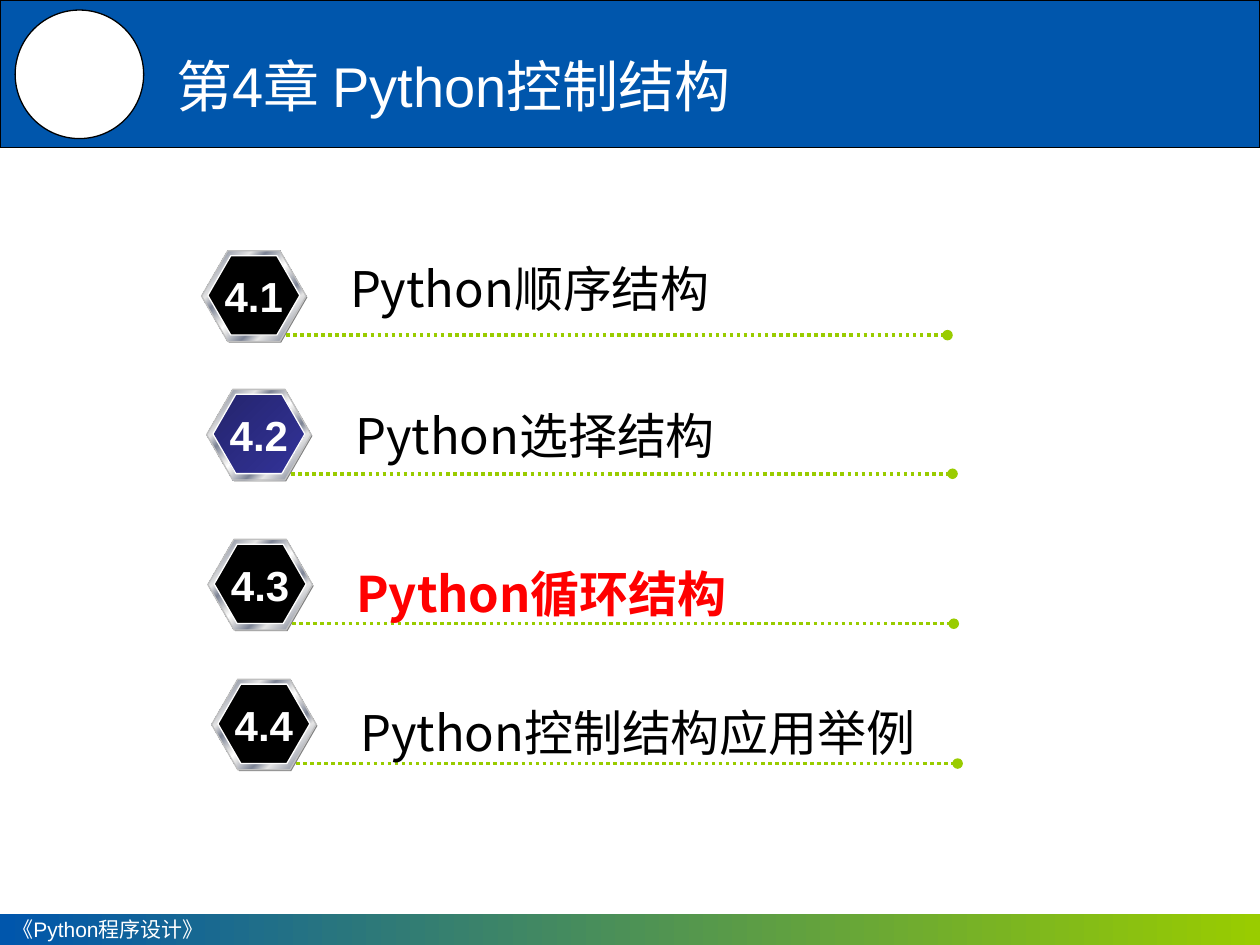
from dataclasses import dataclass

from lxml import etree
from pptx import Presentation
from pptx.dml.color import RGBColor
from pptx.enum import dml, shapes, text
from pptx.oxml.ns import qn
from pptx.util import Inches, Pt

BLUE, GREEN, WHITE, BLACK = "0056AC", "99CC00", "FFFFFF", "000000"
SANS, CJK = "Arial", "Noto Sans CJK SC"
METAL = [(0, "E6E6E6"), (8, "7D8496"), (26, "E6E6E6"), (34, "7D8496"),
         (46, "E6E6E6"), (50, "FFFFFF"), (54, "E6E6E6"), (66, "7D8496"),
         (74, "E6E6E6"), (92, "7D8496"), (100, "E6E6E6")]
NAVY = [(0, "24246D"), (100, "333399")]


@dataclass
class Section:
    number: str
    title: str
    x: float
    y: float
    title_dy: float
    face: str | list = BLACK
    color: str = BLACK
    bold: bool = False
    spacing: float = 1.0


SECTIONS = [
    Section("4.1", "Python顺序结构", 1.61, 2.0, 0),
    Section("4.2", "Python选择结构", 1.65, 3.1, 0.07, face=NAVY),
    Section("4.3", "Python循环结构", 1.66, 4.29, -0.1, color="FF0000", bold=True, spacing=1.5),
    Section("4.4", "Python控制结构应用举例", 1.69, 5.4, -0.11, spacing=1.5),
]


def rgb(value: str) -> RGBColor:
    return RGBColor.from_string(value)


def fill_gradient(sp, stops: list, angle: int) -> None:
    """Fill with (percent, colour) stops; the angle runs clockwise in degrees."""
    sp.fill.gradient()
    grad = sp._element.spPr.find(qn("a:gradFill"))
    gs_list = grad.find(qn("a:gsLst"))
    for old in list(gs_list):
        gs_list.remove(old)
    for percent, color in stops:
        gs = etree.SubElement(gs_list, qn("a:gs"), pos=str(percent * 1000))
        etree.SubElement(gs, qn("a:srgbClr"), val=color)
    grad.find(qn("a:lin")).set("ang", str(angle * 60000))


def add_shape(s, kind, x: float, y: float, w: float, h: float,
              fill: str | list, line: str | None = None, angle: int = 45):
    sp = s.shapes.add_shape(kind, Inches(x), Inches(y), Inches(w), Inches(h))
    sp.shadow.inherit = False
    if isinstance(fill, list):
        fill_gradient(sp, fill, angle)
    else:
        sp.fill.solid()
        sp.fill.fore_color.rgb = rgb(fill)
    if line:
        sp.line.color.rgb = rgb(line)
        sp.line.width = Pt(0.75)
    else:
        sp.line.fill.background()
    return sp


def add_hexagon(s, x: float, y: float, w: float, h: float,
                fill: str | list, line: str | None = None) -> None:
    sp = add_shape(s, shapes.MSO_SHAPE.HEXAGON, x, y, w, h, fill, line)
    sp.adjustments[0] = 0.289


def write(sp, value: str, size: int, font: str, color: str, bold: bool = False,
          align=text.PP_ALIGN.LEFT, anchor=text.MSO_ANCHOR.TOP,
          wrap: bool = True, spacing: float = 1.0) -> None:
    tf = sp.text_frame
    tf.text = value
    tf.word_wrap = wrap
    tf.vertical_anchor = anchor
    p = tf.paragraphs[0]
    p.alignment = align
    p.line_spacing = spacing
    r = p.runs[0]
    r.font.size = Pt(size)
    r.font.bold = bold
    r.font.name = font
    r.font.color.rgb = rgb(color)
    etree.SubElement(r.font._element, qn("a:ea"), typeface=CJK)


def add_text(s, x: float, y: float, w: float, h: float, value: str, *args, **style) -> None:
    sp = s.shapes.add_textbox(Inches(x), Inches(y), Inches(w), Inches(h))
    write(sp, value, *args, **style)


def add_dotted_line(s, x1: float, x2: float, y: float) -> None:
    c = s.shapes.add_connector(shapes.MSO_CONNECTOR.STRAIGHT,
                               Inches(x1), Inches(y), Inches(x2), Inches(y))
    c.line.color.rgb = rgb(GREEN)
    c.line.width = Pt(2)
    c.line.dash_style = dml.MSO_LINE.ROUND_DOT
    etree.SubElement(c.line._get_or_add_ln(), qn("a:tailEnd"), type="oval")
    etree.SubElement(c._element.spPr, qn("a:effectLst"))


def add_section(s, sec: Section) -> None:
    x, y = sec.x, sec.y
    add_hexagon(s, x, y, 0.83, 0.72, "808080")
    add_hexagon(s, x - 0.01, y - 0.01, 0.83, 0.72, METAL, "C0C0C0")
    add_hexagon(s, x + 0.04, y + 0.03, 0.73, 0.63, sec.face, WHITE)
    add_dotted_line(s, x + 0.66, x + 5.91, y + 0.66)
    add_text(s, x + 1.07, y + sec.title_dy, 4.8, 0.72, sec.title, 28, CJK, sec.color,
             bold=sec.bold, spacing=sec.spacing)
    add_text(s, x + 0.07, y + 0.1, 0.67, 0.51, sec.number, 24, SANS, WHITE,
             bold=True, align=text.PP_ALIGN.CENTER, wrap=False)


def main() -> None:
    prs = Presentation()
    prs.slide_width, prs.slide_height = Inches(10), Inches(7.5)
    s = prs.slides.add_slide(prs.slide_layouts[5])

    add_shape(s, shapes.MSO_SHAPE.RECTANGLE, 0, 0, 10, 1.17, BLUE, BLACK)
    footer = add_shape(s, shapes.MSO_SHAPE.RECTANGLE, 0, 7.25, 10, 0.25,
                       [(0, BLUE), (100, GREEN)], angle=0)
    write(footer, "《Python程序设计》", 12, SANS, WHITE, anchor=text.MSO_ANCHOR.MIDDLE)
    add_shape(s, shapes.MSO_SHAPE.OVAL, 0.12, 0.08, 1.02, 1.02, WHITE, BLACK)

    for sec in SECTIONS:
        add_section(s, sec)

    title = s.shapes.title
    title.left, title.top = Inches(1.3), Inches(0.36)
    title.width, title.height = Inches(8.5), Inches(0.79)
    write(title, "第4章 Python控制结构", 32, SANS, WHITE)
    s.shapes._spTree.append(title._element)  # bring in front of the header band

    prs.save("out.pptx")


if __name__ == "__main__":
    main()
